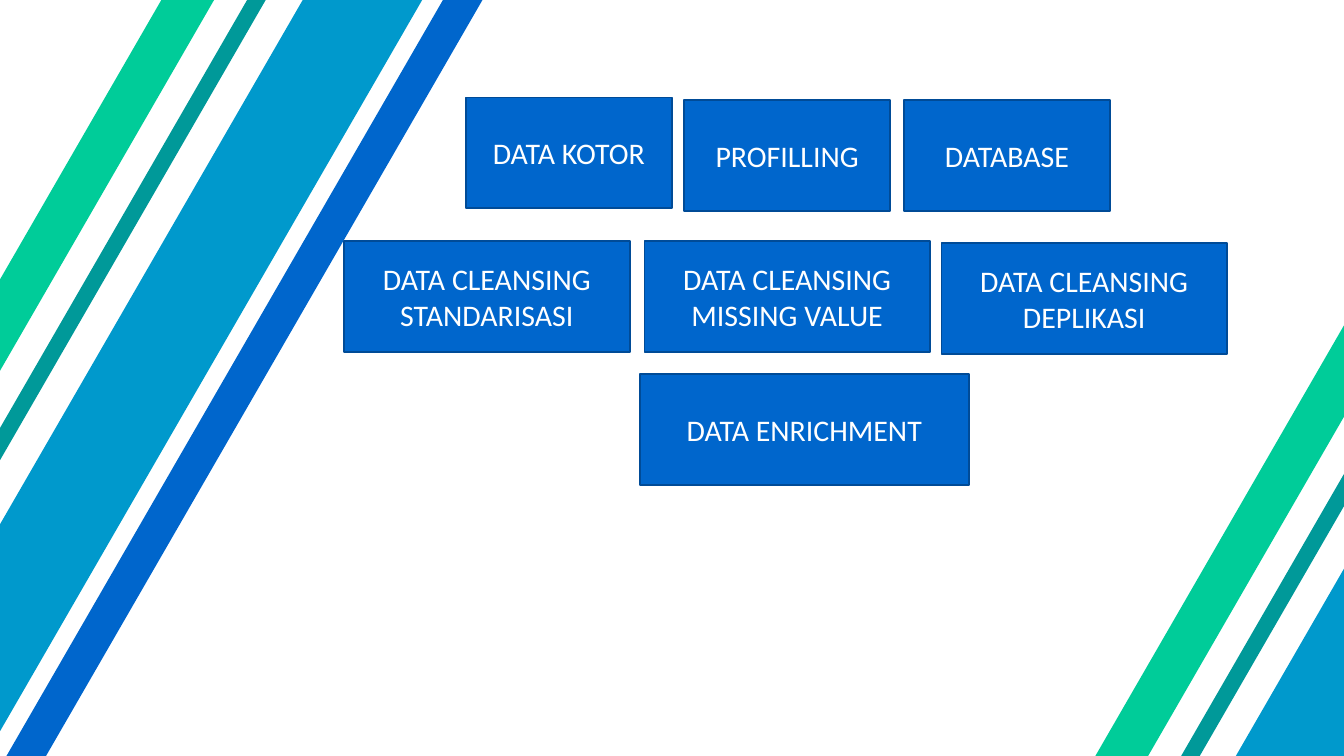
import pptx
import pptx.dml.color
import pptx.enum.shapes
import pptx.enum.text
import pptx.util

Inches = pptx.util.Inches
Pt = pptx.util.Pt

BLUE, SKY, TEAL, GREEN = "0066CC", "0099CC", "009999", "00CC99"
STRIPES = [
    (-5.88, 4.44, 20.11, 0.51, BLUE),
    (-7.77, 4.64, 20.08, 1.54, SKY),
    (-8.86, 4.42, 20.11, 0.24, TEAL),
    (-9.91, 4.29, 20.06, 0.68, GREEN),
    (11.52, 6.53, 20.08, 1.54, SKY),
    (10.42, 6.35, 20.11, 0.24, TEAL),
    (9.37, 6.22, 20.06, 0.68, GREEN),
]
BOX_HEIGHT = 1.65
BOXES = [
    (6.93, 1.45, 3.07, "DATA KOTOR"),
    (10.18, 1.49, 3.07, "PROFILLING"),
    (13.45, 1.49, 3.07, "DATABASE"),
    (5.12, 3.59, 4.25, "DATA CLEANSING\nSTANDARISASI"),
    (9.59, 3.59, 4.25, "DATA CLEANSING\nMISSING VALUE"),
    (14.01, 3.62, 4.25, "DATA CLEANSING\nDEPLIKASI"),
    (9.52, 5.57, 4.9, "DATA ENRICHMENT"),
]


def rgb(value):
    return pptx.dml.color.RGBColor.from_string(value)


class Deck:
    """Draws styled elements on the current slide."""

    font, size = "Calibri", 32
    text_color, line_color, line_width = "FFFFFF", "004B97", 2

    def __init__(self, slide):
        self.s = slide

    def rect(self, x, y, w, h, color):
        sp = self.s.shapes.add_shape(
            pptx.enum.shapes.MSO_SHAPE.RECTANGLE,
            Inches(x), Inches(y), Inches(w), Inches(h))
        sp.shadow.inherit = False
        sp.fill.solid()
        sp.fill.fore_color.rgb = rgb(color)
        return sp

    def stripe(self, x, y, w, h, color):
        sp = self.rect(x, y, w, h, color)
        sp.line.fill.background()
        sp.rotation = 300

    def box(self, x, y, w, text):
        sp = self.rect(x, y, w, BOX_HEIGHT, BLUE)
        sp.line.color.rgb = rgb(self.line_color)
        sp.line.width = Pt(self.line_width)
        tf = sp.text_frame
        tf.word_wrap = True
        tf.vertical_anchor = pptx.enum.text.MSO_ANCHOR.MIDDLE
        tf.text = text
        for p in tf.paragraphs:
            p.alignment = pptx.enum.text.PP_ALIGN.CENTER
            for r in p.runs:
                r.font.name = self.font
                r.font.size = Pt(self.size)
                r.font.color.rgb = rgb(self.text_color)


def main():
    prs = pptx.Presentation()
    prs.slide_width, prs.slide_height = Inches(20), Inches(11.25)
    deck = Deck(prs.slides.add_slide(prs.slide_layouts[6]))
    for stripe in STRIPES:
        deck.stripe(*stripe)
    for box in BOXES:
        deck.box(*box)
    prs.save("out.pptx")


if __name__ == "__main__":
    main()
